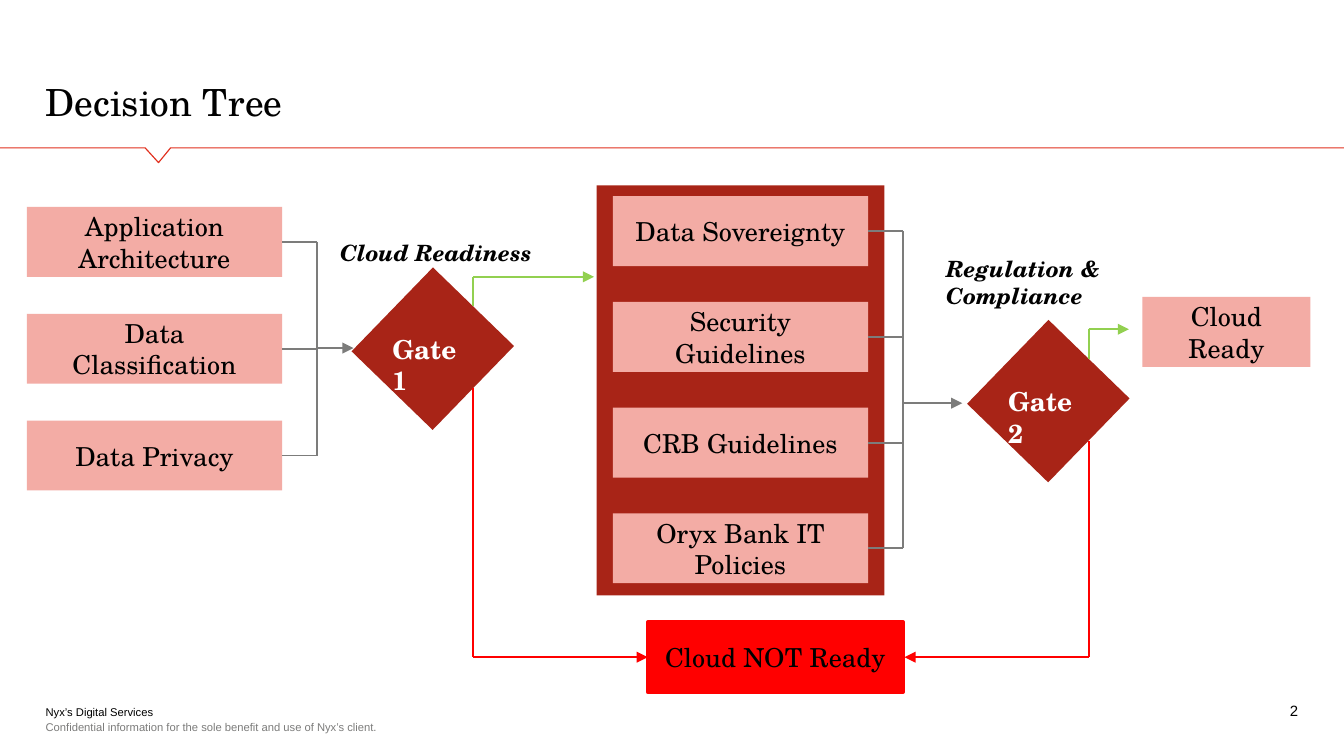
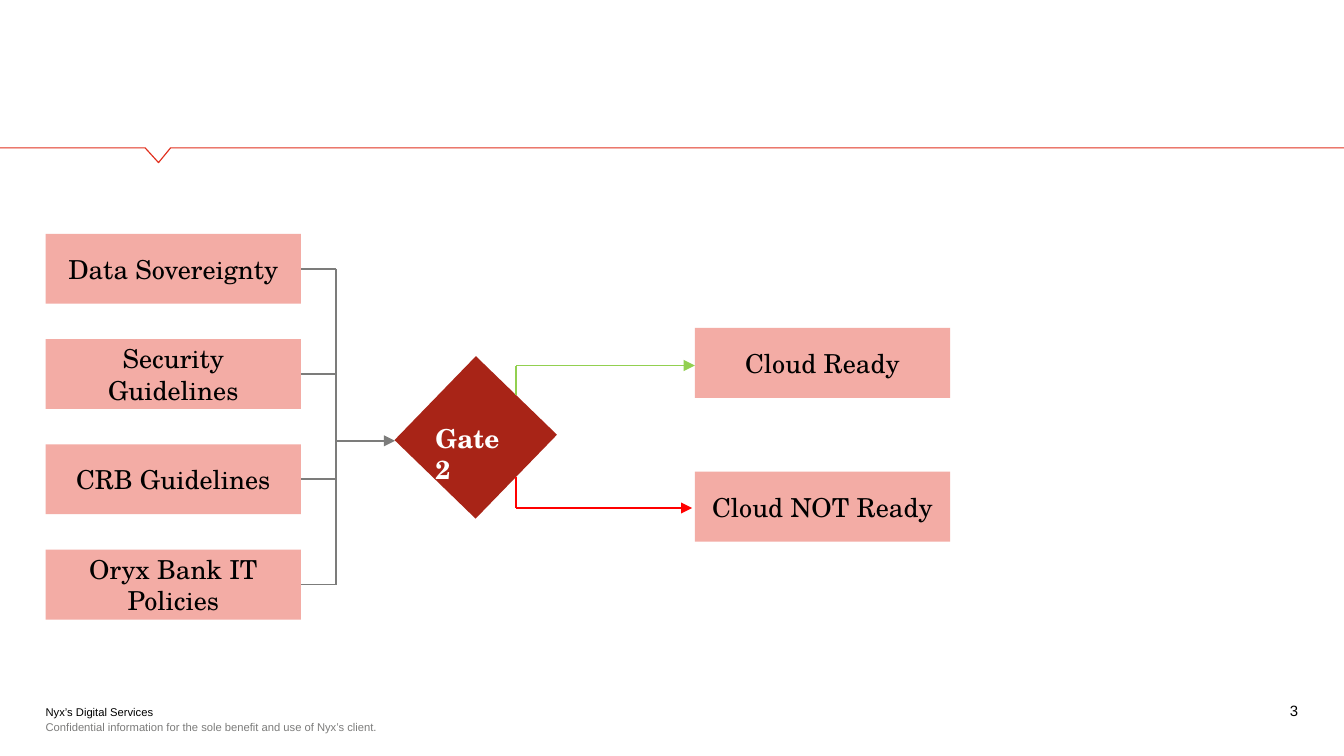
from dataclasses import dataclass

from lxml.etree import SubElement
from pptx import Presentation
from pptx.dml.color import RGBColor
from pptx.enum.shapes import MSO_CONNECTOR as Connector, MSO_SHAPE as Shape
from pptx.enum.text import MSO_ANCHOR as Anchor, PP_ALIGN as Align
from pptx.oxml.ns import qn
from pptx.util import Inches, Pt


@dataclass(frozen=True)
class Theme:
    serif: str = "TeX Gyre Schola"
    sans: str = "Arial"
    black: str = "000000"
    white: str = "FFFFFF"
    gray: str = "7C7C7B"
    rule: str = "E1301E"
    dark_red: str = "A82417"
    pink: str = "F3ACA5"
    green: str = "92D050"
    red: str = "FF0000"
    title_size: float = 20
    label_size: float = 14
    caption_size: float = 12
    page_size: float = 8
    footer_size: float = 6
    rule_width: float = 0.63
    flow_width: float = 1


@dataclass(frozen=True)
class Box:
    left: float
    top: float
    width: float
    height: float

    @property
    def right(self):
        return self.left + self.width

    @property
    def middle(self):
        return self.top + self.height / 2

    def inches(self):
        return [Inches(n) for n in (self.left, self.top, self.width, self.height)]


THEME = Theme()
STEP_WIDTH, STEP_HEIGHT = 1.9, 0.52
RULES = ["Data Sovereignty", "Security Guidelines", "CRB Guidelines",
         "Oryx Bank IT Policies"]


def color(value):
    return RGBColor.from_string(value)


def style(paragraph, size, ink, family=THEME.serif, bold=False, italic=False):
    font = paragraph.font
    font.name, font.size, font.color.rgb = family, Pt(size), color(ink)
    font.bold, font.italic = bold, italic


def add_text(slide, box, text, size, ink=THEME.black, wrap=True,
             anchor=Anchor.TOP, align=Align.LEFT, **look):
    frame = slide.shapes.add_textbox(*box.inches()).text_frame
    frame.margin_left = frame.margin_right = 0
    frame.margin_top = frame.margin_bottom = 0
    frame.word_wrap, frame.vertical_anchor = wrap, anchor
    frame.text = text
    for paragraph in frame.paragraphs:
        paragraph.alignment = align
        style(paragraph, size, ink, **look)


def add_block(slide, box, fill, rotation=0):
    block = slide.shapes.add_shape(Shape.RECTANGLE, *box.inches())
    block.shadow.inherit = False
    block.fill.solid()
    block.fill.fore_color.rgb = color(fill)
    block.line.fill.background()
    block.rotation = rotation
    return block


def add_step(slide, box, label, fill=THEME.pink):
    step = add_block(slide, box, fill)
    frame = step.text_frame
    frame.word_wrap, frame.vertical_anchor = True, Anchor.MIDDLE
    frame.text = label
    frame.paragraphs[0].alignment = Align.CENTER
    style(frame.paragraphs[0], THEME.label_size, THEME.black)
    return step


def add_flow(slide, start, end, ink=THEME.gray, arrow=False):
    flow = slide.shapes.add_connector(
        Connector.STRAIGHT, *[Inches(n) for n in (*start, *end)])
    flow.line.color.rgb = color(ink)
    flow.line.width = Pt(THEME.flow_width)
    properties = flow.element.spPr
    if arrow:
        SubElement(properties.find(qn("a:ln")), qn("a:tailEnd"), type="triangle")
    SubElement(properties, qn("a:effectLst"))


def add_funnel(slide, box, labels, arrow_y, arrow_end):
    bus = box.right + 0.26
    pitch = (box.height - STEP_HEIGHT) / (len(labels) - 1)
    steps = [Box(box.left, box.top + i * pitch, box.width, STEP_HEIGHT)
             for i in range(len(labels))]
    for step, label in zip(steps, labels):
        add_step(slide, step, label)
        add_flow(slide, (step.right, step.middle), (bus, step.middle))
    add_flow(slide, (bus, steps[0].middle), (bus, steps[-1].middle))
    add_flow(slide, (bus, arrow_y), (arrow_end, arrow_y), arrow=True)


def add_gate(slide, box, label, yes, no):
    add_block(slide, box, THEME.dark_red, rotation=44.1)
    exit_x = box.left + 0.72
    for drop, (end_x, end_y), ink in ((0.12, yes, THEME.green),
                                      (0.73, no, THEME.red)):
        add_flow(slide, (exit_x, box.top + drop), (exit_x, end_y), ink)
        add_flow(slide, (exit_x, end_y), (end_x, end_y), ink, arrow=True)
    add_text(slide, Box(box.left + 0.12, box.top + 0.32, 0.62, 0.24), label,
             THEME.label_size, THEME.white, bold=True)


def add_caption(slide, box, text):
    add_text(slide, box, text, THEME.caption_size, wrap=False, bold=True,
             italic=True)


def add_header(slide, box, title):
    notch = [(1.27, 0), (1.18, box.height), (1.08, 0), (0, 0)]
    builder = slide.shapes.build_freeform(
        Inches(box.right), Inches(box.top), scale=1.0)
    builder.add_line_segments(
        [(Inches(box.left + x), Inches(box.top + y)) for x, y in notch],
        close=False)
    rule = builder.convert_to_shape()
    rule.shadow.inherit = False
    rule.fill.background()
    rule.line.color.rgb = color(THEME.rule)
    rule.line.width = Pt(THEME.rule_width)
    if title:
        add_text(slide, Box(box.left + 0.34, box.top - 0.52, 9.32, 0.34), title,
                 THEME.title_size, anchor=Anchor.BOTTOM)


def add_footer(slide, box, page):
    add_text(slide, Box(box.left, box.top + 0.03, 2.8, 0.1),
             "Nyx’s Digital Services", THEME.footer_size, family=THEME.sans)
    add_text(slide, Box(box.left, box.top + 0.14, 3.17, 0.1),
             "Confidential information for the sole benefit and use of Nyx’s client.",
             THEME.footer_size, THEME.gray, anchor=Anchor.MIDDLE,
             family=THEME.sans)
    add_text(slide, Box(box.right - 2.33, box.top, 2.33, 0.13), str(page),
             THEME.page_size, anchor=Anchor.MIDDLE, align=Align.RIGHT,
             family=THEME.sans)


def add_page(deck, page, title=None):
    slide = deck.slides.add_slide(deck.slide_layouts[6])
    add_header(slide, Box(0, 1.1, 10, 0.11), title)
    add_footer(slide, Box(0.34, 5.22, 9.32, 0.24), page)
    return slide


def gate_box(left, top):
    return Box(left, top, 0.84, 0.87)


def step_box(left, top, width=STEP_WIDTH):
    return Box(left, top, width, STEP_HEIGHT)


def build_decision_tree(deck):
    slide = add_page(deck, 2, "Decision Tree")
    add_block(slide, Box(4.44, 1.38, 2.14, 3.05), THEME.dark_red)
    add_funnel(slide, Box(0.2, 1.54, STEP_WIDTH, 2.11),
               ["Application Architecture", "Data Classification", "Data Privacy"],
               2.59, 2.63)
    add_gate(slide, gate_box(2.8, 2.16), "Gate 1", (4.42, 2.06), (4.82, 4.89))
    rejected = add_step(slide, step_box(4.82, 4.63), "Cloud NOT Ready", THEME.red)
    rejected.line.color.rgb = color(THEME.red)
    rejected.line.width = Pt(2)
    add_funnel(slide, Box(4.56, 1.46, STEP_WIDTH, 2.88), RULES, 3, 7.16)
    add_gate(slide, gate_box(7.38, 2.55), "Gate 2", (8.4, 2.45), (6.73, 4.89))
    add_step(slide, step_box(8.5, 2.21, 1.25), "Cloud Ready")
    add_caption(slide, Box(2.53, 1.78, 1.45, 0.2), "Cloud Readiness")
    add_caption(slide, Box(7.04, 1.9, 1.2, 0.4), "Regulation &\nCompliance")


def build_second_gate(deck):
    slide = add_page(deck, 3)
    add_funnel(slide, Box(0.34, 1.74, STEP_WIDTH, 2.87), RULES, 3.28, 2.94)
    add_gate(slide, gate_box(3.12, 2.82), "Gate 2", (5.17, 2.72), (5.15, 3.78))
    add_step(slide, step_box(5.17, 2.44), "Cloud Ready")
    add_step(slide, step_box(5.17, 3.51), "Cloud NOT Ready")


def main():
    deck = Presentation()
    deck.slide_width = Inches(10)
    deck.slide_height = Inches(10) * 9 // 16
    build_decision_tree(deck)
    build_second_gate(deck)
    deck.save("out.pptx")


if __name__ == "__main__":
    main()
